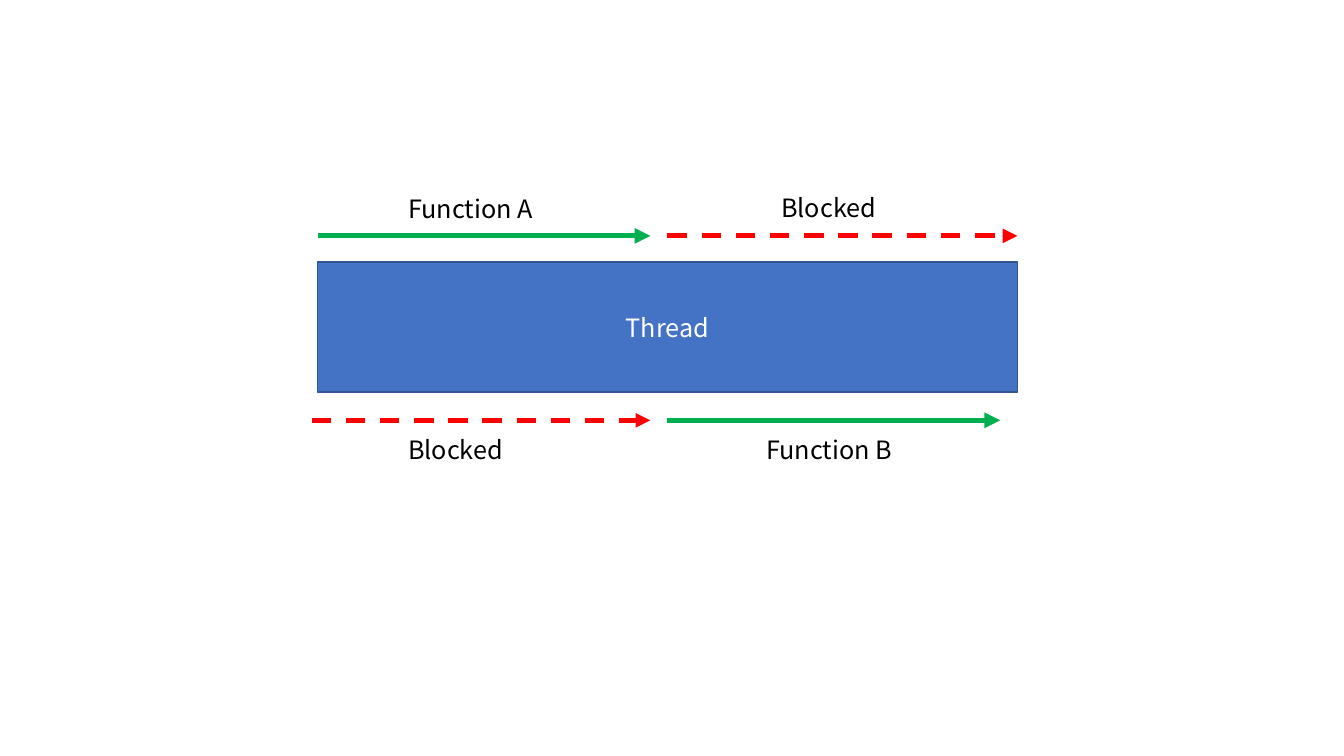
"""Build a slide of two functions taking turns on one thread."""
from lxml import etree
from pptx import Presentation
from pptx.dml.color import RGBColor
from pptx.enum.dml import MSO_LINE
from pptx.enum.shapes import MSO_CONNECTOR, MSO_SHAPE
from pptx.enum.text import MSO_ANCHOR, MSO_AUTO_SIZE, PP_ALIGN
from pptx.oxml.ns import qn
from pptx.util import Inches, Pt

RECTANGLE = MSO_SHAPE.RECTANGLE
STRAIGHT = MSO_CONNECTOR.STRAIGHT
DASH = MSO_LINE.DASH
MIDDLE = MSO_ANCHOR.MIDDLE
GROW = MSO_AUTO_SIZE.SHAPE_TO_FIT_TEXT
LEFT, CENTER = PP_ALIGN.LEFT, PP_ALIGN.CENTER

FONT = "Noto Sans CJK KR"
COLORS = {
    "thread": "4472C4",
    "outline": "325491",
    "running": "00B050",
    "blocked": "FF0000",
    "text": "000000",
    "thread_text": "FFFFFF",
}
BLANK_LAYOUT = 6
TOP_ARROW, BOTTOM_ARROW = 2.34, 4.17
THREAD_LEFT, THREAD_RIGHT = 3.15, 10.09
FIRST_END, SECOND_START = 6.45, 6.62


def color(name):
    """Return the named colour."""
    return RGBColor.from_string(COLORS[name])


def write(box, text, color_name, align):
    """Write one line of text into a box."""
    para = box.text_frame.paragraphs[0]
    para.alignment = align
    span = para.add_run()
    span.text = text
    span.font.name = FONT
    span.font.size = Pt(18)
    span.font.color.rgb = color(color_name)


def add_thread(page):
    """Add the thread bar."""
    bar = page.shapes.add_shape(
        RECTANGLE, Inches(THREAD_LEFT), Inches(2.6),
        Inches(THREAD_RIGHT - THREAD_LEFT), Inches(1.29))
    bar.shadow.inherit = False
    bar.fill.solid()
    bar.fill.fore_color.rgb = color("thread")
    bar.line.color.rgb = color("outline")
    bar.line.width = Pt(1)
    bar.text_frame.vertical_anchor = MIDDLE
    write(bar, "Thread", "thread_text", CENTER)


def add_arrow(page, start, end, top, state):
    """Add a horizontal arrow, dashed when the function is blocked."""
    arrow = page.shapes.add_connector(
        STRAIGHT, Inches(start), Inches(top), Inches(end), Inches(top))
    arrow.line.color.rgb = color(state)
    arrow.line.width = Pt(3.75)
    if state == "blocked":
        arrow.line.width = Pt(3.5)
        arrow.line.dash_style = DASH
    outline = arrow.line._get_or_add_ln()
    etree.SubElement(outline, qn("a:tailEnd"), type="triangle")
    etree.SubElement(arrow._element.spPr, qn("a:effectLst"))


def add_label(page, text, left, top):
    """Add a label beside an arrow."""
    box = page.shapes.add_textbox(
        Inches(left), Inches(top), Inches(3.06), Inches(0.4))
    box.text_frame.word_wrap = True
    box.text_frame.auto_size = GROW
    write(box, text, "text", LEFT)


def main():
    """Build and save the deck."""
    deck = Presentation()
    deck.slide_width, deck.slide_height = Inches(13.33), Inches(7.5)
    page = deck.slides.add_slide(deck.slide_layouts[BLANK_LAYOUT])

    add_thread(page)
    for start, end, top, state in (
        (SECOND_START, THREAD_RIGHT, TOP_ARROW, "blocked"),
        (THREAD_LEFT, FIRST_END, TOP_ARROW, "running"),
        (3.09, FIRST_END, BOTTOM_ARROW, "blocked"),
        (SECOND_START, 9.92, BOTTOM_ARROW, "running"),
    ):
        add_arrow(page, start, end, top, state)
    for text, left, top in (
        ("Blocked", 7.65, 1.86),
        ("Function A", 3.95, 1.87),
        ("Function B", 7.5, 4.26),
        ("Blocked", 3.95, 4.26),
    ):
        add_label(page, text, left, top)

    deck.save("out.pptx")


main()
